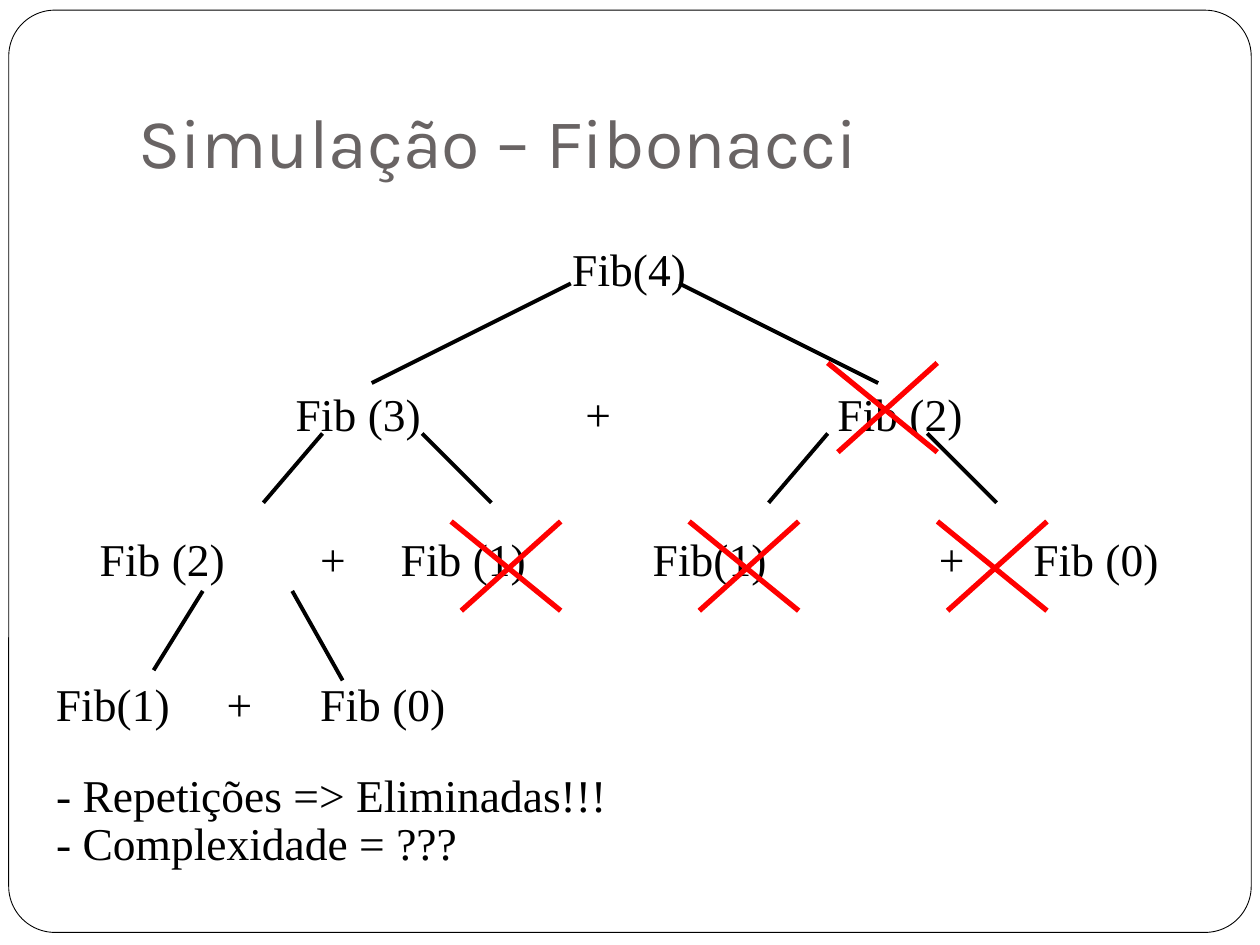
from typing import NamedTuple

from lxml import etree
from pptx import Presentation
from pptx.dml.color import RGBColor
from pptx.enum.shapes import MSO_CONNECTOR, MSO_SHAPE
from pptx.enum.text import MSO_ANCHOR
from pptx.oxml.ns import qn
from pptx.util import Pt

STRAIGHT = MSO_CONNECTOR.STRAIGHT
ROUNDED = MSO_SHAPE.ROUNDED_RECTANGLE
BOTTOM = MSO_ANCHOR.BOTTOM
BLACK, RED, GRAY, WHITE = "000000", "FF0000", "696464", "FFFFFF"
SERIF, SANS = "Times New Roman", "Karla"
SIZE, PITCH, TOP = 26, 27.6, 138
CROSS_W, CROSS_H, INSET = 62.6, 51, 5.8


class Label(NamedTuple):
    text: str
    left: float
    row: int


class Branch(NamedTuple):
    x1: float
    y1: float
    x2: float
    y2: float


class Cross(NamedTuple):
    left: float
    top: float


LABELS = [
    Label("Fib(4)", 327, 0),
    Label("Fib (3)", 169, 3),
    Label("+", 334.5, 3),
    Label("Fib (2)", 478.5, 3),
    Label("Fib (2)", 57, 6),
    Label("+", 183, 6),
    Label("Fib (1)", 229, 6),
    Label("Fib(1)", 373, 6),
    Label("+", 536.5, 6),
    Label("Fib (0)", 590.5, 6),
    Label("Fib(1)", 32, 9),
    Label("+", 129.5, 9),
    Label("Fib (0)", 183, 9),
]
NOTES = Label("- Repetições => Eliminadas!!!\n- Complexidade = ???", 32, 11)
BRANCHES = [
    Branch(326.2, 162, 212.4, 218.9),
    Branch(388.1, 162, 501.8, 218.9),
    Branch(184.3, 247.7, 150.5, 287.3),
    Branch(241.2, 247.7, 280.8, 287.3),
    Branch(473, 247.7, 439.2, 287.3),
    Branch(529.9, 247.7, 569.5, 287.3),
    Branch(115.9, 337.7, 87.8, 383),
    Branch(167, 337.7, 195.8, 388.8),
]
CROSSES = [Cross(257.8, 298), Cross(393.8, 298), Cross(535.7, 298), Cross(473, 207.4)]


def color(code: str) -> RGBColor:
    return RGBColor.from_string(code)


def draw_frame(slide) -> None:
    box = slide.shapes.add_shape(ROUNDED, Pt(5), Pt(5.8), Pt(710), Pt(527))
    box.adjustments[0] = 0.05
    box.shadow.inherit = False
    box.fill.solid()
    box.fill.fore_color.rgb = color(WHITE)
    box.line.color.rgb = color(BLACK)
    box.line.width = Pt(0.5)


def draw_title(slide) -> None:
    box = slide.shapes.add_textbox(Pt(72), Pt(21.6), Pt(612), Pt(90))
    frame = box.text_frame
    frame.word_wrap = True
    frame.vertical_anchor = BOTTOM
    frame.margin_bottom = Pt(7.2)
    frame.text = "Simulação – Fibonacci"
    font = frame.paragraphs[0].runs[0].font
    font.name, font.size = SANS, Pt(40)
    font.color.rgb = color(GRAY)


def draw_label(slide, label: Label, width: float = 80) -> None:
    lines = label.text.count("\n") + 1
    top = TOP + label.row * PITCH
    box = slide.shapes.add_textbox(Pt(label.left), Pt(top), Pt(width), Pt(lines * PITCH))
    frame = box.text_frame
    frame.word_wrap = True
    frame.margin_left = frame.margin_right = 0
    frame.margin_top = frame.margin_bottom = 0
    frame.text = label.text
    for para in frame.paragraphs:
        if lines > 1:
            para.line_spacing = Pt(PITCH)
        font = para.runs[0].font
        font.name, font.size = SERIF, Pt(SIZE)
        font.color.rgb = color(BLACK)


def draw_line(slide, branch: Branch, code: str, width: float) -> None:
    line = slide.shapes.add_connector(STRAIGHT, *map(Pt, branch))
    line.line.color.rgb = color(code)
    line.line.width = Pt(width)
    etree.SubElement(line._element.spPr, qn("a:effectLst"))


def draw_cross(slide, cross: Cross) -> None:
    right, low = cross.left + CROSS_W, cross.top + CROSS_H
    draw_line(slide, Branch(cross.left, cross.top, right, low), RED, 3)
    draw_line(slide, Branch(cross.left + INSET, low, right, cross.top), RED, 3)


def main() -> None:
    """Build the slide of the Fibonacci call tree with its pruned calls."""
    deck = Presentation()
    deck.slide_width, deck.slide_height = Pt(720), Pt(540)
    slide = deck.slides.add_slide(deck.slide_layouts[6])
    draw_frame(slide)
    draw_title(slide)
    for label in LABELS:
        draw_label(slide, label)
    draw_label(slide, NOTES, 600)
    for branch in BRANCHES:
        draw_line(slide, branch, BLACK, 2.25)
    for cross in CROSSES:
        draw_cross(slide, cross)
    deck.save("out.pptx")


if __name__ == "__main__":
    main()
